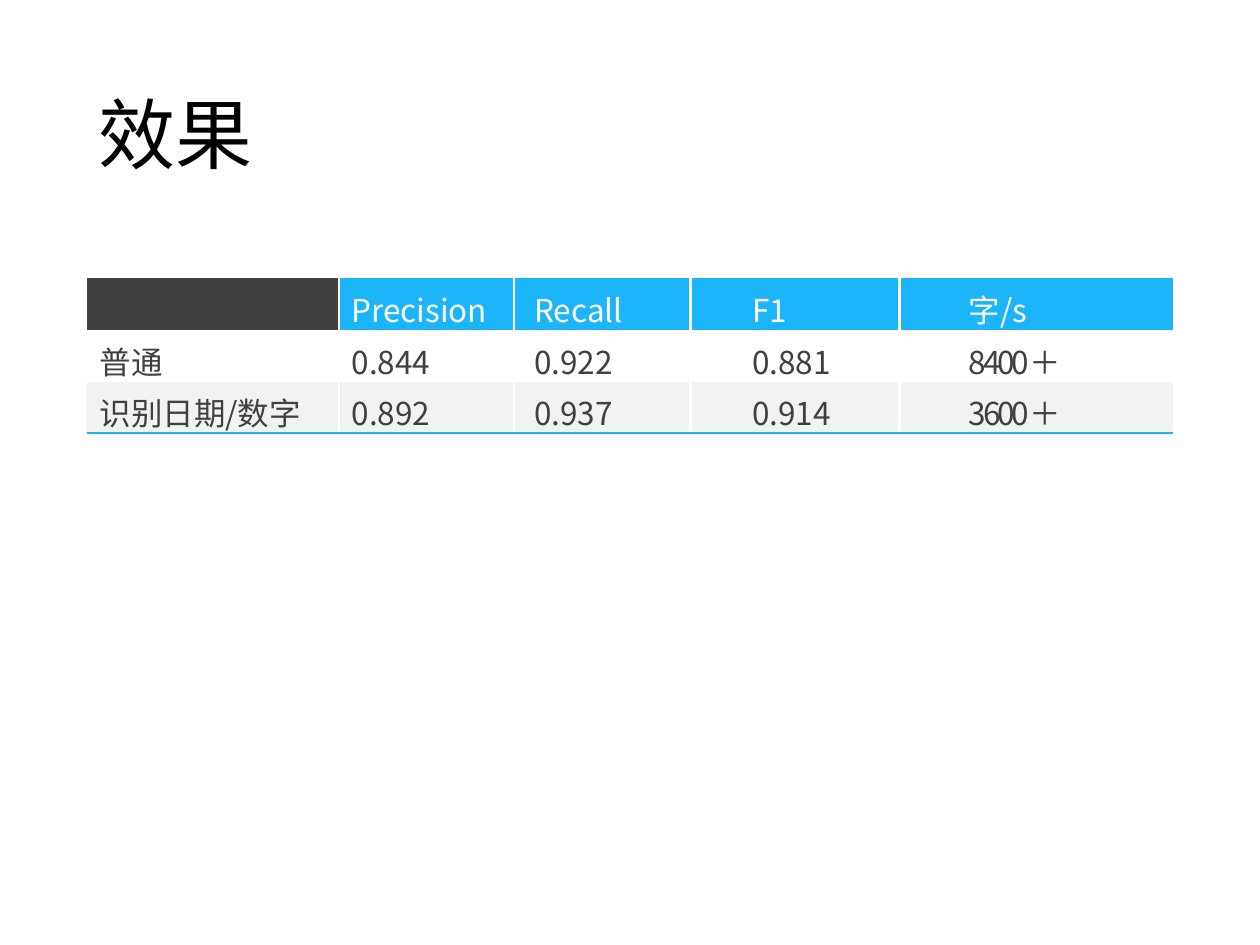
from lxml import etree
from pptx import Presentation
from pptx import util as u
from pptx.dml.color import RGBColor
from pptx.enum import text
from pptx.oxml import ns

COLORS = {"black": "000000", "dark": "404040", "blue": "1CB5FA",
          "white": "FFFFFF", "band": "F2F2F2"}
FONT = "Noto Sans CJK SC"


def write(paragraph, words, size, color, spacing=0):
    """Add one run with the same face for Latin and Chinese letters."""
    run = paragraph.add_run()
    run.text = words
    formats = {"name": FONT, "size": u.Pt(size), "bold": False}
    for name, value in formats.items():
        setattr(run.font, name, value)
    run.font.color.rgb = RGBColor.from_string(COLORS[color])
    properties = run.font._element
    etree.SubElement(properties, ns.qn("a:ea"), typeface=FONT)
    if spacing:
        properties.set("spc", str(round(spacing * 100)))


def add_border(cell, index, side, color):
    """Put a 1.5 pt cell border before the fill, in schema order."""
    properties = cell._tc.get_or_add_tcPr()
    line = etree.Element(ns.qn(f"a:ln{side}"), w=str(u.Pt(1.5)))
    fill = etree.SubElement(line, ns.qn("a:solidFill"))
    etree.SubElement(fill, ns.qn("a:srgbClr"), val=COLORS[color])
    properties.insert(index, line)


presentation = Presentation()
presentation.slide_width, presentation.slide_height = u.Inches(10), u.Inches(7.5)
slide = presentation.slides.add_slide(presentation.slide_layouts[6])

# Title
title = slide.shapes.add_textbox(u.Inches(0.77), u.Inches(0.68),
                                 u.Inches(1.25), u.Inches(0.75))
frame = title.text_frame
title_format = {"margin_left": u.Inches(0.01), "margin_top": u.Inches(0.01),
                "margin_right": 0, "margin_bottom": 0, "word_wrap": False,
                "auto_size": text.MSO_AUTO_SIZE.SHAPE_TO_FIT_TEXT}
for name, value in title_format.items():
    setattr(frame, name, value)
frame.paragraphs[0].space_before = u.Pt(1)
write(frame.paragraphs[0], "效果", 44, "black")

# Results table
results = [
    ["", "Precision", "Recall", "F1", "字/s"],
    ["普通", "0.844", "0.922", "0.881", "8400＋"],
    ["识别日期/数字", "0.892", "0.937", "0.914", "3600＋"],
]
column_widths = [2, 1.39, 1.4, 1.66, 2.17]
indents = [0.1, 0.1, 0.16, 0.49, 0.55]
row_fills = ["blue", "white", "band"]
row_height = 0.41
last_row, last_column = len(results) - 1, len(column_widths) - 1

table = slide.shapes.add_table(
    len(results), len(column_widths), u.Inches(0.69), u.Inches(2.21),
    u.Inches(sum(column_widths)), u.Inches(row_height * len(results))).table
table.first_row = table.horz_banding = False
# The plain style brings no borders of its own
style = table._tbl.tblPr.find(ns.qn("a:tableStyleId"))
style.text = "{2D5ABB26-0587-4C30-8999-92F81FD0307C}"

for column, width in zip(table.columns, column_widths):
    column.width = u.Inches(width)

for i, row in enumerate(results):
    table.rows[i].height = u.Inches(row_height)
    for j, words in enumerate(row):
        cell = table.cell(i, j)
        cell_format = {"margin_left": u.Inches(indents[j]), "margin_right": 0,
                       "margin_top": u.Inches(0.06) if words else 0,
                       "margin_bottom": 0}
        for name, value in cell_format.items():
            setattr(cell, name, value)
        cell.fill.solid()
        fill_color = row_fills[i] if words else "dark"
        cell.fill.fore_color.rgb = RGBColor.from_string(COLORS[fill_color])

        # White lines between columns, a blue line under the last row
        borders = []
        if j > 0:
            borders.append(("L", "white"))
        if j < last_column:
            borders.append(("R", "white"))
        if i == last_row:
            borders.append(("B", "blue"))
        for index, (side, color) in enumerate(borders):
            add_border(cell, index, side, color)

        paragraph = cell.text_frame.paragraphs[0]
        if words:
            paragraph.space_before = u.Pt(4.5 + 0.1 * i)
            write(paragraph, words, 18, "dark" if i else "white",
                  -1.8 if i and j == last_column else 0)
        else:
            paragraph.font.size = u.Pt(18)

presentation.save("out.pptx")
